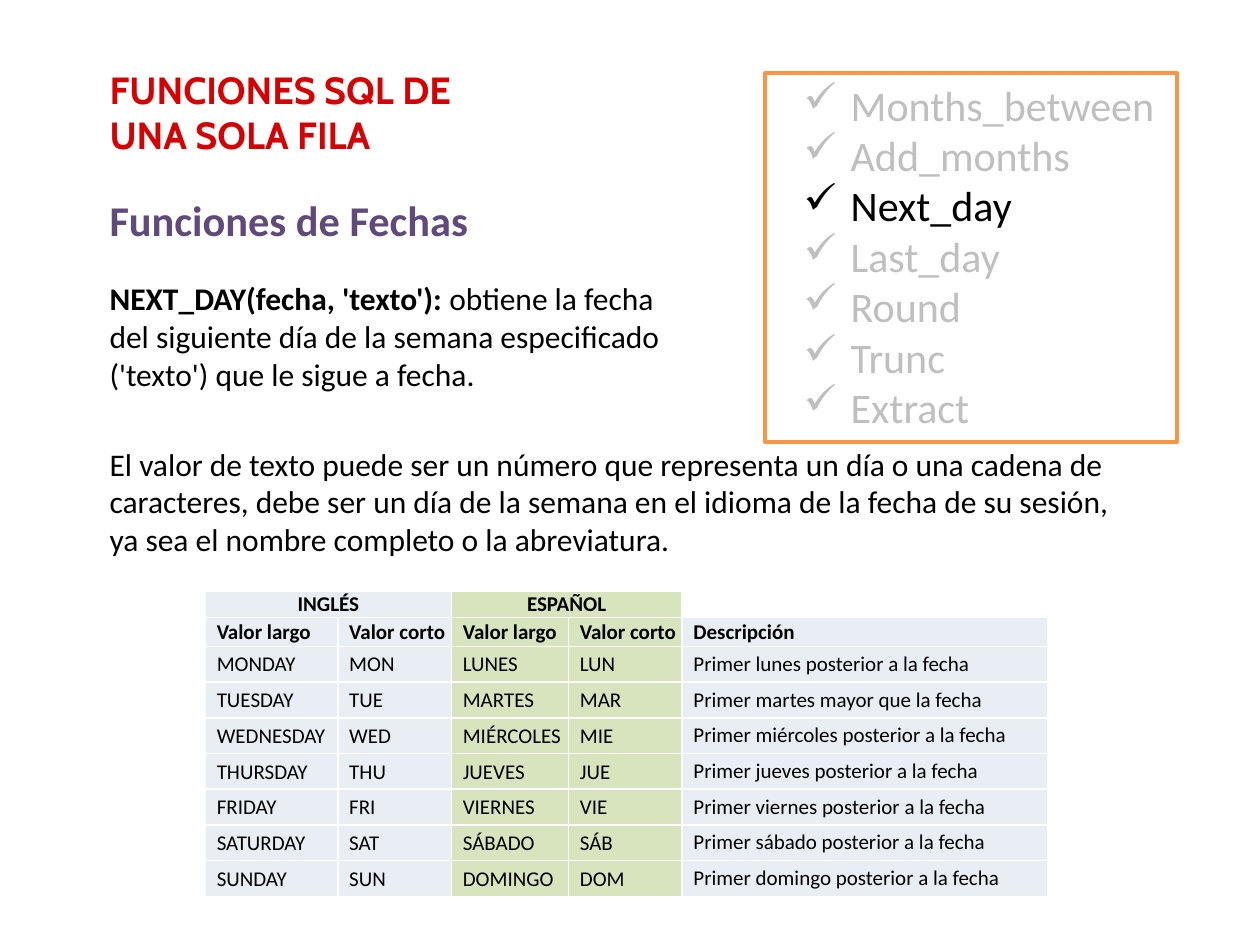
from lxml.etree import SubElement
from pptx import Presentation
from pptx.dml.color import RGBColor
from pptx.enum.shapes import MSO_SHAPE
from pptx.enum.text import MSO_ANCHOR, MSO_AUTO_SIZE, PP_ALIGN
from pptx.oxml.ns import qn
from pptx.util import Cm, Pt

RED = RGBColor(0xD4, 0x02, 0x02)
PURPLE = RGBColor(0x60, 0x4A, 0x7B)
ORANGE = RGBColor(0xF7, 0x96, 0x46)
GRAY = RGBColor(0xBF, 0xBF, 0xBF)
BLACK = RGBColor(0, 0, 0)
WHITE = RGBColor(0xFF, 0xFF, 0xFF)
BLUE_TINT = RGBColor(0xE9, 0xED, 0xF4)
GREEN_TINT = RGBColor(0xD7, 0xE4, 0xBD)


def set_font(para, size, color, bold=None, name="Calibri"):
    para.font.name = name
    para.font.size = Pt(size)
    para.font.color.rgb = color
    para.font.bold = bold


def add_text(page, left, top, width, height, anchor=MSO_ANCHOR.TOP):
    box = page.shapes.add_textbox(Cm(left), Cm(top), Cm(width), Cm(height))
    box.text_frame.word_wrap = True
    box.text_frame.vertical_anchor = anchor
    return box.text_frame.paragraphs[0]


deck = Presentation()
deck.slide_width = Cm(25.4)
deck.slide_height = Cm(19.05)
page = deck.slides.add_slide(deck.slide_layouts[6])

title = add_text(page, 1.96, 1.27, 10.8, 1.98, MSO_ANCHOR.MIDDLE)
title.text = "FUNCIONES SQL DE\vUNA SOLA FILA"
set_font(title, 21.6, RED, True, "Cabin")

subtitle = add_text(page, 1.96, 3.84, 11.5, 1.19, MSO_ANCHOR.MIDDLE)
subtitle.text = "Funciones de Fechas"
set_font(subtitle, 24.2, PURPLE, True)

panel = page.shapes.add_shape(MSO_SHAPE.RECTANGLE, Cm(15.42), Cm(1.47), Cm(8.31), Cm(7.44))
panel.shadow.inherit = False
panel.fill.solid()
panel.fill.fore_color.rgb = WHITE
panel.line.color.rgb = ORANGE
panel.line.width = Pt(2)
frame = panel.text_frame
frame.word_wrap = True
frame.vertical_anchor = MSO_ANCHOR.TOP
frame.auto_size = MSO_AUTO_SIZE.SHAPE_TO_FIT_TEXT
functions = ["Months_between", "Add_months", "Next_day", "Last_day", "Round", "Trunc", "Extract"]
frame.text = "\n".join(functions)
for para, function in zip(frame.paragraphs, functions):
    para.level = 1
    para.alignment = PP_ALIGN.LEFT
    properties = para._p.get_or_add_pPr()
    properties.set("marL", str(Cm(1.48)))
    properties.set("indent", str(Cm(-0.95)))
    SubElement(properties, qn("a:buChar"), char="✓")
    set_font(para, 24, BLACK if function == "Next_day" else GRAY)

syntax = add_text(page, 1.96, 5.51, 12.4, 2.57)
set_font(syntax, 18, BLACK)
span = syntax.add_run()
span.text = "NEXT_DAY(fecha, 'texto'): "
span.font.bold = True
span = syntax.add_run()
span.text = "obtiene la fecha del siguiente día de la semana especificado ('texto') que le sigue a fecha."

detail = add_text(page, 1.96, 8.84, 21.29, 2.57)
detail.text = (
    "El valor de texto puede ser un número que representa un día o una cadena de caracteres, "
    "debe ser un día de la semana en el idioma de la fecha de su sesión, "
    "ya sea el nombre completo o la abreviatura."
)
set_font(detail, 18, BLACK)

rows = [
    ["INGLÉS", "", "ESPAÑOL", "", ""],
    ["Valor largo", "Valor corto", "Valor largo", "Valor corto", "Descripción"],
    ["MONDAY", "MON", "LUNES", "LUN", "Primer lunes posterior a la fecha"],
    ["TUESDAY", "TUE", "MARTES", "MAR", "Primer martes mayor que la fecha"],
    ["WEDNESDAY", "WED", "MIÉRCOLES", "MIE", "Primer miércoles posterior a la fecha"],
    ["THURSDAY", "THU", "JUEVES", "JUE", "Primer jueves posterior a la fecha"],
    ["FRIDAY", "FRI", "VIERNES", "VIE", "Primer viernes posterior a la fecha"],
    ["SATURDAY", "SAT", "SÁBADO", "SÁB", "Primer sábado posterior a la fecha"],
    ["SUNDAY", "SUN", "DOMINGO", "DOM", "Primer domingo posterior a la fecha"],
]
widths = [2.67, 2.29, 2.36, 2.29, 7.37]
heights = [0.54, 0.58] + [0.72] * 7
table = page.shapes.add_table(
    len(rows), len(widths), Cm(4.14), Cm(11.91), Cm(sum(widths)), Cm(sum(heights))
).table
for column, width in zip(table.columns, widths):
    column.width = Cm(width)
for row, height in zip(table.rows, heights):
    row.height = Cm(height)
for first in (0, 2):
    table.cell(0, first).merge(table.cell(0, first + 1))

for r, texts in enumerate(rows):
    for c, text in enumerate(texts):
        cell = table.cell(r, c)
        description = r > 1 and c == 4
        cell.margin_left = Cm(0.02 if r == 0 else 0.23)
        cell.margin_right = Cm(0.02)
        cell.margin_top = Cm(0.1 if description else 0.02)
        cell.margin_bottom = Cm(0.1 if description else 0)
        cell.vertical_anchor = MSO_ANCHOR.BOTTOM if r == 0 else MSO_ANCHOR.MIDDLE
        for side in ("a:lnL", "a:lnR", "a:lnT", "a:lnB"):
            border = SubElement(cell._tc.get_or_add_tcPr(), qn(side), w=str(Pt(1)))
            SubElement(SubElement(border, qn("a:solidFill")), qn("a:srgbClr"), val=str(WHITE))
        if (r, c) == (0, 4):
            cell.fill.background()
        else:
            cell.fill.solid()
            cell.fill.fore_color.rgb = GREEN_TINT if c in (2, 3) else BLUE_TINT
        para = cell.text_frame.paragraphs[0]
        if text:
            para.text = text
            para.alignment = PP_ALIGN.CENTER if r == 0 else PP_ALIGN.LEFT
            set_font(para, 12, BLACK, r < 2)
        else:
            SubElement(para._p, qn("a:endParaRPr"), sz="1200")

deck.save("out.pptx")
